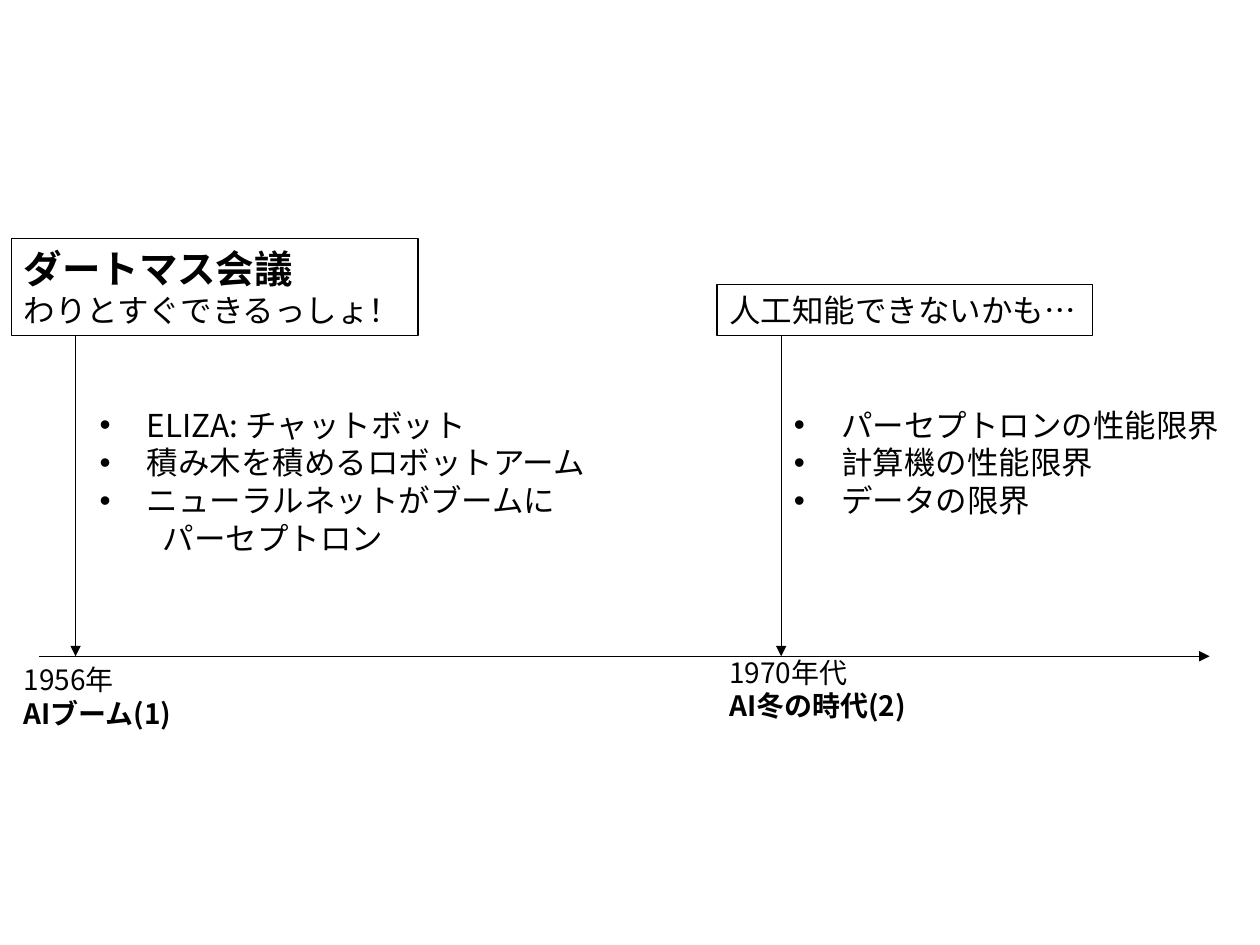
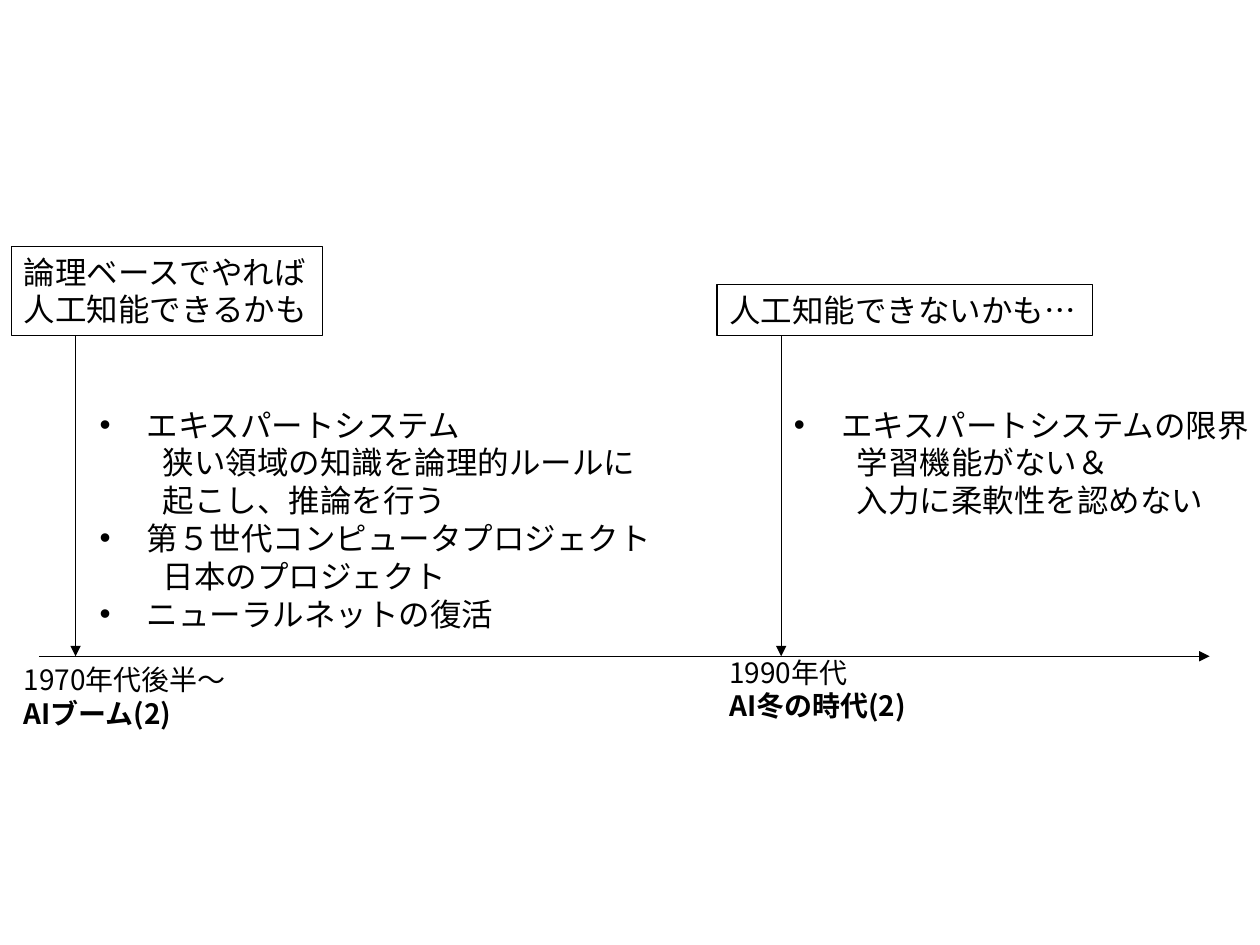
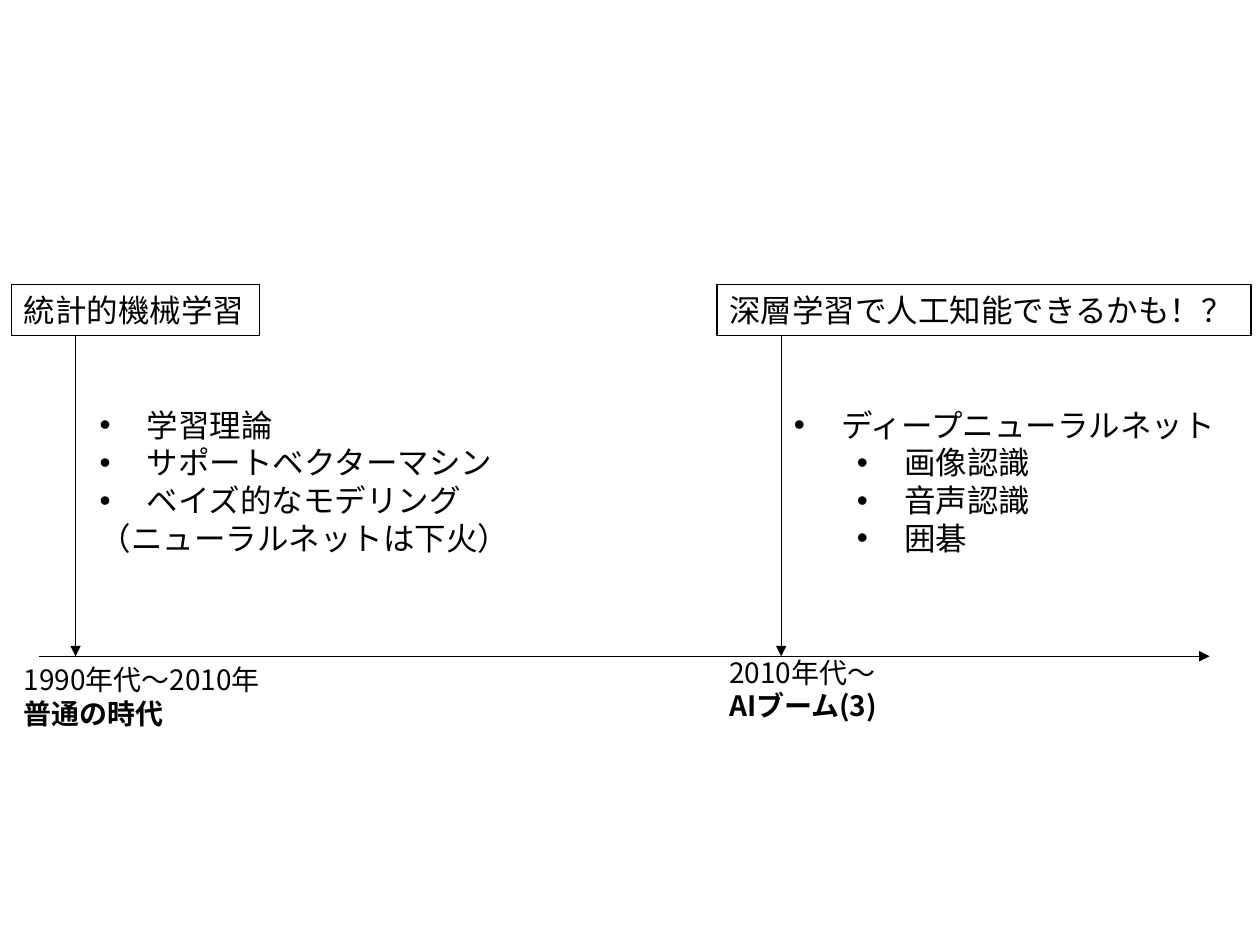
"""Build three timeline slides on the booms and winters of AI."""
from lxml.etree import SubElement
from pptx import Presentation
from pptx.dml.color import RGBColor
from pptx.enum.shapes import MSO_CONNECTOR as Connector, MSO_SHAPE as Shape
from pptx.enum.text import MSO_ANCHOR as Anchor, MSO_AUTO_SIZE as AutoSize, PP_ALIGN as Align
from pptx.oxml.ns import qn
from pptx.util import Pt

COLORS = {"ink": "000000"}
INK = RGBColor.from_string(COLORS["ink"])
FONT = "Noto Sans CJK JP"
AXIS_Y, BOX_BOTTOM, LIST_TOP = 375, 191.8, 228.2
BOX_LEFTS, ARROW_XS, LIST_LEFTS, LABEL_TOPS = (6.5, 409.7), (43.2, 446.4), (49.7, 446.4), (375, 370.8)

# level, left margin, first-line indent, bullet
STYLES = {
    "point": (0, 27, -27, "•"),
    "note": (1, 36, 0, None),
    "subpoint": (1, 63, -27, "•"),
    "plain": (0, 0, 0, None),
}

# each era: claim (width, height, lines), list (width, items), label (width, year, name)
SLIDES = [
    [
        {"claim": (232.5, 55.4, [("ダートマス会議", 22, True), ("わりとすぐできるっしょ！", 18, False)]),
         "list": (296, [("ELIZA: チャットボット", "point"), ("積み木を積めるロボットアーム", "point"),
                        ("ニューラルネットがブームに", "point"), ("パーセプトロン", "note")]),
         "label": (103.7, "1956年", "AIブーム(1)")},
        {"claim": (214.6, 29.1, [("人工知能できないかも…", 18, False)]),
         "list": (260, [("パーセプトロンの性能限界", "point"), ("計算機の性能限界", "point"),
                        ("データの限界", "point")]),
         "label": (120.2, "1970年代", "AI冬の時代(2)")},
    ],
    [
        {"claim": (177.8, 51, [("論理ベースでやれば", 18, False), ("人工知能できるかも", 18, False)]),
         "list": (332.6, [("エキスパートシステム", "point"), ("狭い領域の知識を論理的ルールに", "note"),
                          ("起こし、推論を行う", "note"), ("第５世代コンピュータプロジェクト", "point"),
                          ("日本のプロジェクト", "note"), ("ニューラルネットの復活", "point")]),
         "label": (137.5, "1970年代後半〜", "AIブーム(2)")},
        {"claim": (214.6, 29.1, [("人工知能できないかも…", 18, False)]),
         "list": (278, [("エキスパートシステムの限界", "point"), ("学習機能がない＆", "note"),
                        ("入力に柔軟性を認めない", "note")]),
         "label": (120.2, "1990年代", "AI冬の時代(2)")},
    ],
    [
        {"claim": (141.8, 29.1, [("統計的機械学習", 18, False)]),
         "list": (250.6, [("学習理論", "point"), ("サポートベクターマシン", "point"),
                          ("ベイズ的なモデリング", "point"), ("（ニューラルネットは下火）", "plain")]),
         "label": (164.2, "1990年代〜2010年", "普通の時代")},
        {"claim": (305.3, 29.1, [("深層学習で人工知能できるかも！？", 18, False)]),
         "list": (260, [("ディープニューラルネット", "point"), ("画像認識", "subpoint"),
                        ("音声認識", "subpoint"), ("囲碁", "subpoint")]),
         "label": (105.1, "2010年代〜", "AIブーム(3)")},
    ],
]


def write_lines(holder, lines):
    frame = holder.text_frame
    frame.word_wrap = True
    frame.auto_size = AutoSize.SHAPE_TO_FIT_TEXT
    frame.vertical_anchor = Anchor.TOP
    for number, (text, size, bold) in enumerate(lines):
        paragraph = frame.paragraphs[0] if number == 0 else frame.add_paragraph()
        paragraph.alignment = Align.LEFT
        paragraph.space_before = Pt(0)
        run = paragraph.add_run()
        run.text = text
        run.font.size, run.font.bold, run.font.name = Pt(size), bold, FONT
        run.font.color.rgb = INK
        SubElement(run.font._element, qn("a:ea"), typeface=FONT)
    return frame.paragraphs


def add_arrow(slide, x1, y1, x2, y2):
    arrow = slide.shapes.add_connector(Connector.STRAIGHT, Pt(x1), Pt(y1), Pt(x2), Pt(y2))
    arrow.line.color.rgb = INK
    arrow.line.width = Pt(0.75)
    SubElement(arrow.line._get_or_add_ln(), qn("a:tailEnd"), type="triangle")
    SubElement(arrow._element.spPr, qn("a:effectLst"))


deck = Presentation()
deck.slide_width, deck.slide_height = Pt(720), Pt(540)
two_content = deck.slide_layouts[3]

for eras in SLIDES:
    slide = deck.slides.add_slide(two_content)
    title, *bodies = slide.placeholders
    title._element.getparent().remove(title._element)
    for extra in bodies[2:]:
        extra._element.getparent().remove(extra._element)
    add_arrow(slide, 22.3, AXIS_Y, 691.2, AXIS_Y)

    for era, body, box_left, arrow_x, list_left, label_top in zip(
            eras, bodies, BOX_LEFTS, ARROW_XS, LIST_LEFTS, LABEL_TOPS):
        width, year, name = era["label"]
        label = slide.shapes.add_textbox(Pt(box_left), Pt(label_top), Pt(width), Pt(46))
        write_lines(label, [(year, 16, False), (name, 16, True)])

        width, height, lines = era["claim"]
        claim = slide.shapes.add_shape(
            Shape.RECTANGLE, Pt(box_left), Pt(BOX_BOTTOM - height), Pt(width), Pt(height))
        claim.shadow.inherit = False
        claim.fill.background()
        claim.line.color.rgb = INK
        claim.line.width = Pt(0.75)
        write_lines(claim, lines)

        add_arrow(slide, arrow_x, 192, arrow_x, AXIS_Y)

        width, items = era["list"]
        body.left, body.top = Pt(list_left), Pt(LIST_TOP)
        body.width, body.height = Pt(width), Pt(7.2 + 21.8 * len(items))
        paragraphs = write_lines(body, [(text, 18, False) for text, _ in items])
        for paragraph, (_, style) in zip(paragraphs, items):
            level, margin, indent, bullet = STYLES[style]
            paragraph.level = level
            properties = paragraph._p.get_or_add_pPr()
            properties.set("marL", str(Pt(margin)))
            properties.set("indent", str(Pt(indent)))
            if bullet:
                SubElement(properties, qn("a:buFont"), typeface="Arial")
                SubElement(properties, qn("a:buChar"), char=bullet)
            else:
                SubElement(properties, qn("a:buNone"))

deck.save("out.pptx")
